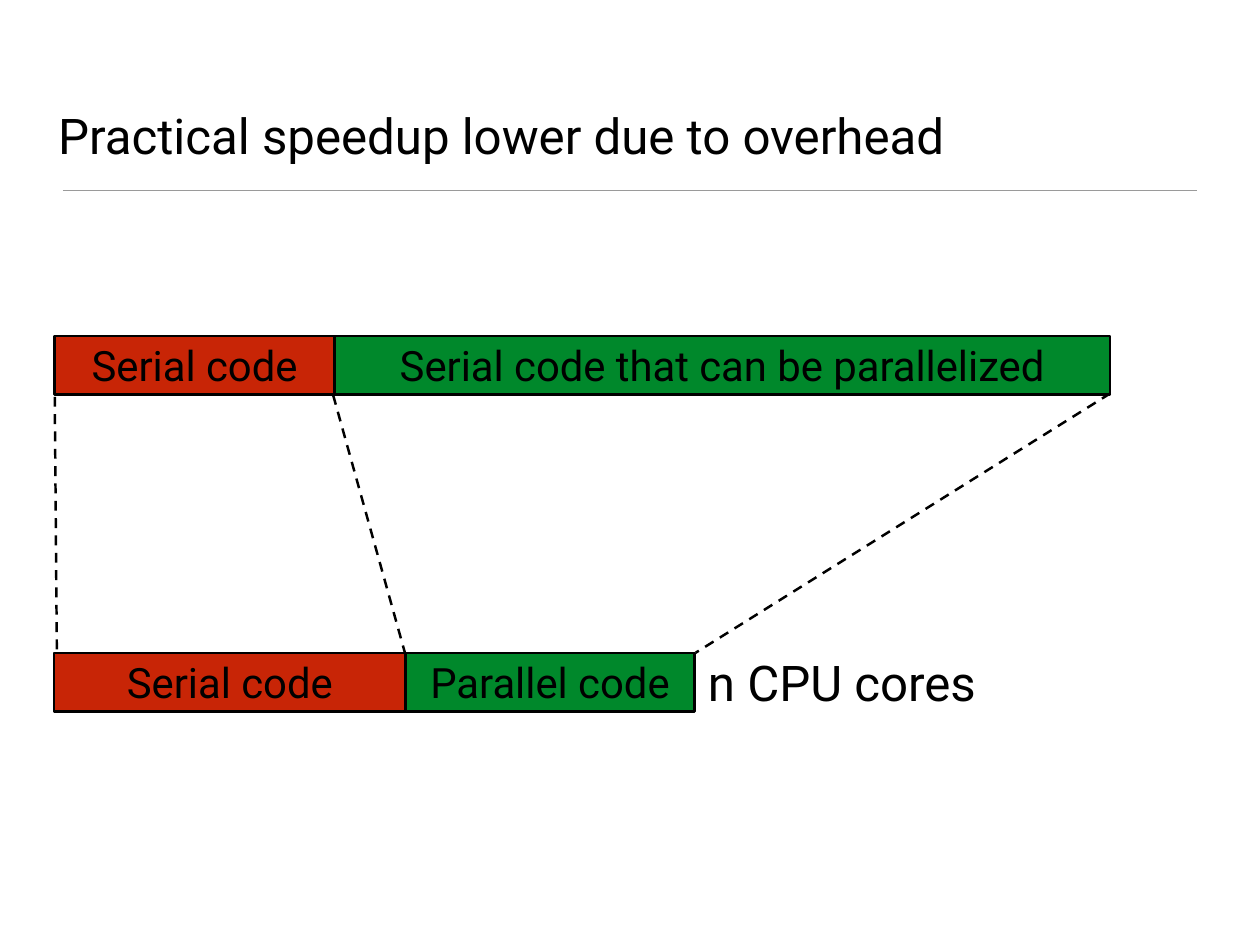
from pptx import Presentation
from pptx.dml.color import RGBColor
from pptx.enum.dml import MSO_LINE
from pptx.enum.shapes import MSO_CONNECTOR, MSO_SHAPE
from pptx.enum.text import MSO_ANCHOR, PP_ALIGN
from pptx.oxml.ns import qn
from pptx.util import Cm, Pt
from lxml.etree import SubElement

BLACK = RGBColor(0x00, 0x00, 0x00)
WHITE = RGBColor(0xFF, 0xFF, 0xFF)
GREY = RGBColor(0x9A, 0x9A, 0x9A)
RED = RGBColor(0xC8, 0x25, 0x06)
GREEN = RGBColor(0x00, 0x88, 0x2B)


class SlideBuilder:
    """Holds the style and the current page."""
    font = "Roboto"
    bar_height = 1.68

    def __init__(self, page):
        self.page = page
        page.background.fill.solid()
        page.background.fill.fore_color.rgb = WHITE

    def set_text(self, shape, text, size, align, anchor, inset):
        frame = shape.text_frame
        frame.word_wrap = True
        frame.vertical_anchor = anchor
        frame.margin_left = frame.margin_right = Cm(inset)
        frame.margin_top = frame.margin_bottom = Cm(inset)
        para = frame.paragraphs[0]
        para.text = text
        para.alignment = align
        para.font.name = self.font
        para.font.size = Pt(size)
        para.font.color.rgb = BLACK

    def label(self, text, left, top, width, height,
              align=PP_ALIGN.CENTER, anchor=MSO_ANCHOR.MIDDLE, inset=0.14):
        box = self.page.shapes.add_textbox(Cm(left), Cm(top), Cm(width), Cm(height))
        self.set_text(box, text, 40, align, anchor, inset)

    def bar(self, left, top, segments):
        """Draw segments (text, width, colour) side by side."""
        for text, width, colour in segments:
            box = self.page.shapes.add_shape(
                MSO_SHAPE.RECTANGLE, Cm(left), Cm(top), Cm(width), Cm(self.bar_height))
            box.shadow.inherit = False
            box.fill.solid()
            box.fill.fore_color.rgb = colour
            box.line.color.rgb = BLACK
            box.line.width = Pt(2)
            self.set_text(box, text, 34, PP_ALIGN.CENTER, MSO_ANCHOR.MIDDLE, 0.1)
            left += width

    def line(self, start, end, colour=BLACK, width=2, dash=None):
        points = [Cm(value) for value in (*start, *end)]
        connector = self.page.shapes.add_connector(MSO_CONNECTOR.STRAIGHT, *points)
        connector.line.color.rgb = colour
        connector.line.width = Pt(width)
        if dash:
            connector.line.dash_style = dash
        SubElement(connector._element.spPr, qn("a:effectLst"))


def main():
    deck = Presentation()
    deck.slide_width, deck.slide_height = Cm(36.12), Cm(27.1)
    slide = SlideBuilder(deck.slides.add_slide(deck.slide_layouts[6]))

    # Title and rule
    slide.line((1.8, 5.46), (34.32, 5.46), GREY, 1)
    slide.label("Practical speedup lower due to overhead", 1.57, 0.91, 32.94, 3.89,
                PP_ALIGN.LEFT, MSO_ANCHOR.BOTTOM, 0.1)

    # Serial program above, parallel program below
    slide.bar(1.57, 9.63, [("Serial code", 8.02, RED),
                           ("Serial code that can be parallelized", 22.23, GREEN)])
    slide.bar(1.55, 18.72, [("Serial code", 10.08, RED),
                            ("Parallel code", 8.28, GREEN)])
    slide.label("n CPU cores", 16.64, 18.54, 14.99, 2.01)

    # Dashed links between matching corners
    for start, end in [((31.83, 11.28), (19.94, 18.72)),
                       ((9.55, 11.33), (11.63, 18.8)),
                       ((1.57, 11.38), (1.63, 18.77))]:
        slide.line(start, end, dash=MSO_LINE.DASH)

    deck.save("out.pptx")


if __name__ == "__main__":
    main()
